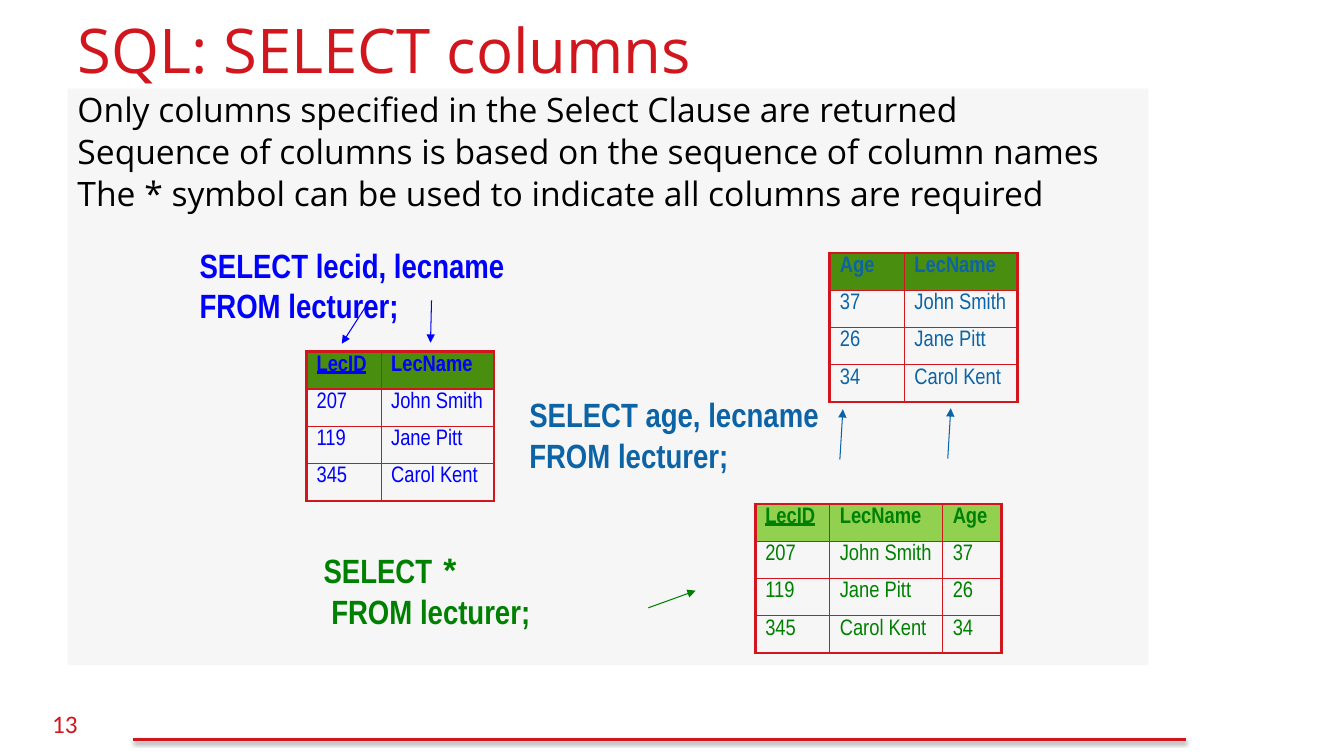
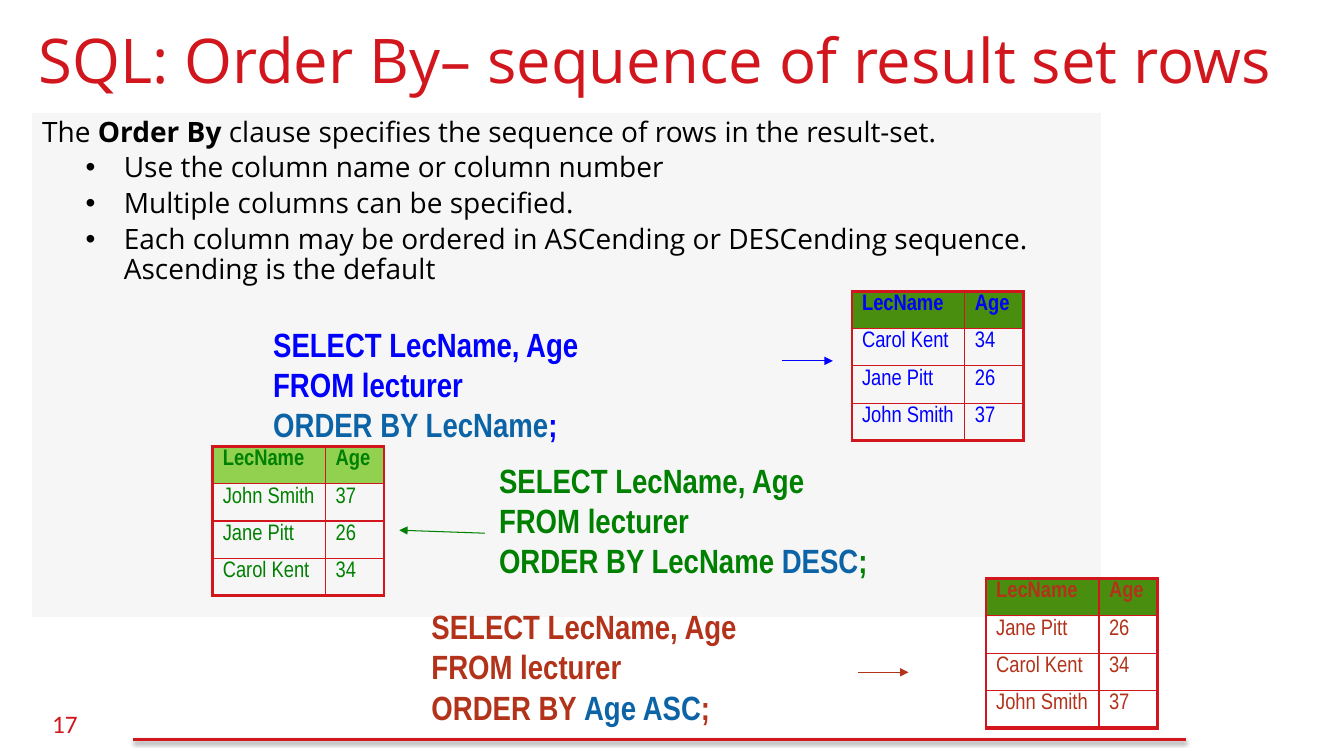
"""Build two SQL slides: choosing columns and ordering rows."""
from lxml import etree
from pptx import Presentation
from pptx import util as u
from pptx.dml.color import RGBColor
from pptx.enum import shapes, text
from pptx.oxml import ns

PX = 9144
HUES = {
    "red": "D1161E", "ink": "000000", "panel": "F6F6F6", "blue": "0000FF",
    "teal": "0C64A7", "green": "008000", "rust": "B2331A",
    "leaf": "4A8E10", "lime": "92D050",
}
SANS, SLIM = "Open Sans", "Arial Narrow"
TEAL = {"hue": "teal"}

SLIDES = [
    {
        "title": "SQL: SELECT columns", "spot": (67, 12, 1200, 116),
        "number": "13", "panel": (67, 88, 1072, 572), "size": 24, "base": 2.25,
        "body": [
            (0, "Only columns specified in the Select Clause are returned"),
            (0, "Sequence of columns is based on the sequence of column names"),
            (0, "The * symbol can be used to indicate all columns are required"),
        ],
        "codes": [
            ((198, 243, 314, 81), "blue", {}, ["SELECT lecid, lecname", "FROM lecturer;"]),
            ((525, 391, 310, 81), "teal", {}, ["SELECT age, lecname", "FROM lecturer;"]),
            ((321, 546, 220, 81), "green", {"face": "Courier New"},
             ["SELECT ~*~", " FROM lecturer;"]),
        ],
        "tables": [
            ((304, 349), "blue", "leaf", (74, 112),
             [("LecID", "LecName"), ("207", "John Smith"),
              ("119", "Jane Pitt"), ("345", "Carol Kent")]),
            ((823, 251), "teal", "leaf", (74, 112),
             [("Age", "LecName"), ("37", "John Smith"),
              ("26", "Jane Pitt"), ("34", "Carol Kent")]),
            ((749, 500), "green", "lime", (74, 112, 58),
             [("LecID", "LecName", "Age"), ("207", "John Smith", "37"),
              ("119", "Jane Pitt", "26"), ("345", "Carol Kent", "34")]),
        ],
        "arrows": [
            ((366, 299, 339, 341), "blue"), ((428, 298, 427, 340), "blue"),
            ((940, 455, 943, 405), "teal"), ((833, 456, 836, 406), "teal"),
            ((643, 603, 690, 586), "green"),
        ],
    },
    {
        "title": "SQL: Order By– sequence of result set rows", "spot": (28, 22, 1273, 63),
        "number": "17", "panel": (32, 112, 1060, 500), "size": 20, "base": 3,
        "body": [
            (0, "The ~Order By~ clause specifies the sequence of rows in the result-set."),
            (1, "Use the column name or column number"),
            (1, "Multiple columns can be specified."),
            (1, "Each column may be ordered in ASCending or DESCending sequence. "
                "Ascending is the default"),
        ],
        "codes": [
            ((271, 321, 314, 121), "blue", TEAL,
             ["SELECT LecName, Age", "FROM lecturer", "~ORDER BY LecName~;"]),
            ((495, 456, 390, 121), "green", TEAL,
             ["SELECT LecName, Age", "FROM lecturer", "ORDER BY LecName ~DESC~;"]),
            ((428, 601, 314, 121), "rust", TEAL,
             ["SELECT LecName, Age", "FROM lecturer", "ORDER BY ~Age ASC~;"]),
        ],
        "tables": [
            ((845, 289), "blue", "leaf", (112, 58),
             [("LecName", "Age"), ("Carol Kent", "34"),
              ("Jane Pitt", "26"), ("John Smith", "37")]),
            ((211, 443), "green", "lime", (112, 58),
             [("LecName", "Age"), ("John Smith", "37"),
              ("Jane Pitt", "26"), ("Carol Kent", "34")]),
            ((978, 574), "rust", "leaf", (112, 58),
             [("LecName", "Age"), ("Jane Pitt", "26"),
              ("Carol Kent", "34"), ("John Smith", "37")]),
        ],
        "arrows": [
            ((776, 358, 826, 358), "blue"), ((481, 529, 396, 526), "green"),
            ((851, 667, 901, 667), "rust"),
        ],
    },
]


def px(*vals):
    return [u.Emu(v * PX) for v in vals]


def rgb(hue):
    return RGBColor.from_string(HUES[hue])


def node(root, tag, **attrs):
    item = etree.SubElement(root, ns.qn(tag))
    for key, val in attrs.items():
        item.set(key, str(val))
    return item


def style(font, face, size, hue, bold=False, under=False):
    font.name, font.size, font.color.rgb = face, u.Pt(size), rgb(hue)
    font.bold, font.underline = bold, under


def write(para, line, look, mark):
    for i, part in enumerate(line.split("~")):
        if part:
            run = para.add_run()
            run.text = part
            style(run.font, **(look | mark if i % 2 else look))


def pad(frame, *gaps):
    (frame.margin_left, frame.margin_top,
     frame.margin_right, frame.margin_bottom) = px(*gaps)


def label(page, spot, lines, look, mark):
    box = page.shapes.add_textbox(*px(*spot))
    frame = box.text_frame
    frame.word_wrap = True
    for i, line in enumerate(lines):
        para = frame.paragraphs[0] if i == 0 else frame.add_paragraph()
        write(para, line, look, mark)
    return box


def stroke(page, ends, hue, width):
    line = page.shapes.add_connector(shapes.MSO_CONNECTOR.STRAIGHT, *px(*ends))
    line.line.color.rgb, line.line.width = rgb(hue), u.Pt(width)
    return line, node(line._element.spPr, "a:effectLst")


def arrow(page, ends, hue):
    line, _ = stroke(page, ends, hue, 0.75)
    node(line.line._get_or_add_ln(), "a:tailEnd", type="triangle")


def frame_page(page, data):
    _, effect = stroke(page, (132, 734, 1176, 734), "red", 2)
    shade = node(effect, "a:outerShdw", blurRad=u.Pt(3.1), dist=u.Pt(1.6),
                 dir=5400000, rotWithShape=0)
    node(node(shade, "a:srgbClr", val=HUES["ink"]), "a:alpha", val=38000)
    look = {"face": "Calibri", "size": 18, "hue": "red"}
    label(page, (42, 698, 50, 40), [data["number"]], look, {})
    title = page.shapes.title
    title.left, title.top, title.width, title.height = px(*data["spot"])
    frame = title.text_frame
    frame.text = data["title"]
    frame.word_wrap, frame.auto_size = True, text.MSO_AUTO_SIZE.NONE
    frame.vertical_anchor = text.MSO_ANCHOR.TOP
    pad(frame, 10, 0, 10, 0)
    para = frame.paragraphs[0]
    para.alignment = text.PP_ALIGN.LEFT
    style(para.runs[0].font, SANS, 44, "red")


def panel(page, data):
    look = {"face": SANS, "size": data["size"], "hue": "ink"}
    box = label(page, data["panel"], [line for _, line in data["body"]],
                look, {"bold": True})
    box.fill.solid()
    box.fill.fore_color.rgb = rgb("panel")
    for i, (level, _) in enumerate(data["body"]):
        para = box.text_frame.paragraphs[i]
        if level:
            props = para._p.get_or_add_pPr()
            props.set("marL", str(81 * PX))
            props.set("indent", str(-38 * PX))
            node(props, "a:buFont", typeface="Arial")
            node(props, "a:buChar", char="•")
        para.line_spacing = 0.9
        para.space_before = u.Pt(4 if i else 0)


def edge(cell, side, width):
    line = node(cell._tc.get_or_add_tcPr(), f"a:ln{side}", w=u.Pt(width))
    node(node(line, "a:solidFill"), "a:srgbClr", val=HUES["red"])


def grid(page, spot, hue, head, cols, rows, base):
    size = (sum(cols), 37 * len(rows))
    table = page.shapes.add_table(len(rows), len(cols), *px(*spot, *size)).table
    table.first_row = table.horz_banding = False
    for col, width in zip(table.columns, cols):
        col.width = u.Emu(width * PX)
    for r, row in enumerate(rows):
        for c, word in enumerate(row):
            cell = table.cell(r, c)
            cell.text = word
            pad(cell, 10, 5, 10, 5)
            para = cell.text_frame.paragraphs[0]
            para.line_spacing = 0.85
            style(para.runs[0].font, SLIM, 16, hue, r == 0, word == "LecID")
            edge(cell, "L", 2.25 if c == 0 else 1)
            edge(cell, "R", 2.25 if c == len(cols) - 1 else 1)
            edge(cell, "T", 2.25 if r == 0 else 1)
            edge(cell, "B", base if r == len(rows) - 1 else 1)
            if r == 0:
                cell.fill.solid()
                cell.fill.fore_color.rgb = rgb(head)
            else:
                cell.fill.background()


def main():
    deck = Presentation()
    deck.slide_width, deck.slide_height = px(1333, 750)
    for data in SLIDES:
        page = deck.slides.add_slide(deck.slide_layouts[5])
        frame_page(page, data)
        panel(page, data)
        for ends, hue in data["arrows"]:
            arrow(page, ends, hue)
        for item in data["tables"]:
            grid(page, *item, data["base"])
        for spot, hue, mark, lines in data["codes"]:
            look = {"face": SLIM, "size": 24, "hue": hue, "bold": True}
            pad(label(page, spot, lines, look, mark).text_frame, 0, 0, 0, 0)
    deck.save("out.pptx")


if __name__ == "__main__":
    main()
